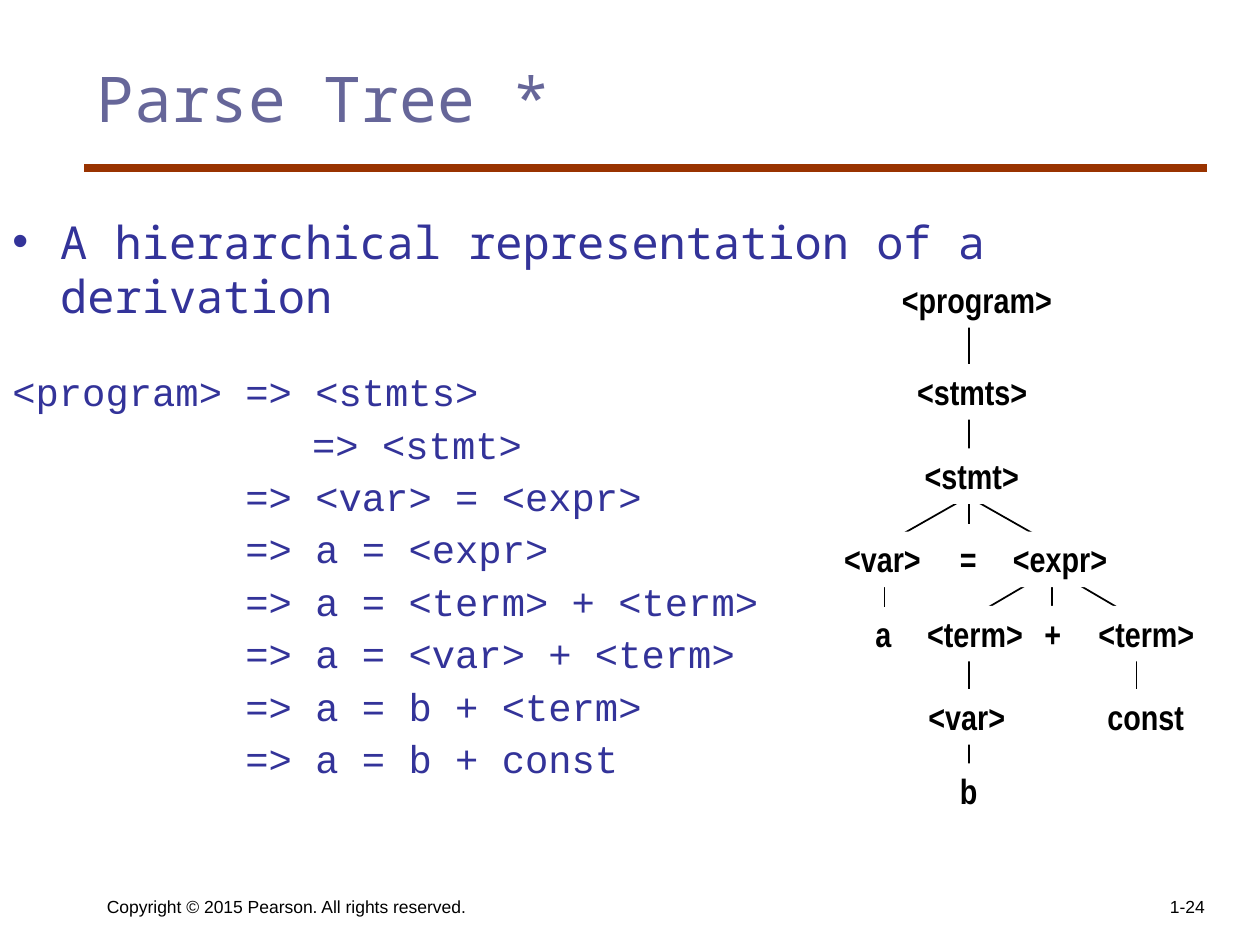
from lxml import etree
from pptx import Presentation
from pptx.dml.color import RGBColor
from pptx.enum.shapes import MSO_CONNECTOR, MSO_SHAPE
from pptx.enum.text import MSO_ANCHOR, MSO_AUTO_SIZE, PP_ALIGN
from pptx.oxml.ns import qn
from pptx.util import Inches, Pt

STRAIGHT = MSO_CONNECTOR.STRAIGHT
RECTANGLE = MSO_SHAPE.RECTANGLE
TOP, BOTTOM = MSO_ANCHOR.TOP, MSO_ANCHOR.BOTTOM
LEFT, RIGHT = PP_ALIGN.LEFT, PP_ALIGN.RIGHT
GROW = MSO_AUTO_SIZE.SHAPE_TO_FIT_TEXT

BLACK = RGBColor(0x00, 0x00, 0x00)
WHITE = RGBColor(0xFF, 0xFF, 0xFF)
RUST = RGBColor(0x99, 0x33, 0x00)
SLATE = RGBColor(0x66, 0x66, 0x99)
INDIGO = RGBColor(0x33, 0x33, 0x99)

TITLE_FONT = {"name": "Noto Sans Mono", "size": Pt(36)}
BULLET_FONT = {"name": "Noto Sans Mono", "size": Pt(25.9)}
CODE_FONT = {"name": "Courier New", "size": Pt(22.2)}
FOOTER_FONT = {"name": "Arial", "size": Pt(10)}
NODE_FONT = {"name": "Arial Narrow", "size": Pt(20), "bold": True}

HANGING = 0.38
STEP_INDENT = 1.85
STMT_INDENT = 2.38
DERIVATION = [
    ("<program> => <stmts>", 0),
    ("=> <stmt>", STMT_INDENT),
    ("=> <var> = <expr>", STEP_INDENT),
    ("=> a = <expr>", STEP_INDENT),
    ("=> a = <term> + <term>", STEP_INDENT),
    ("=> a = <var> + <term>", STEP_INDENT),
    ("=> a = b + <term>", STEP_INDENT),
    ("=> a = b + const", STEP_INDENT),
]

NODE_HEIGHT = 0.44
TREE_ROWS = [
    (2.16, [("<program>", 7.06, 1.4)]),
    (2.89, [("<stmts>", 7.18, 1.1)]),
    (3.56, [("<stmt>", 7.24, 0.96)]),
    (4.22, [("<var>", 6.6, 0.82), ("=", 7.52, 0.34), ("<expr>", 7.94, 0.96)]),
    (4.81, [("a", 6.85, 0.33), ("<term>", 7.26, 0.97),
            ("+", 8.19, 0.34), ("<term>", 8.62, 0.97)]),
    (5.47, [("<var>", 7.27, 0.82), ("const", 8.69, 0.82)]),
    (6.06, [("b", 7.52, 0.35)]),
]
UNFILLED = ("a", "=")

VAR_X, MIDDLE_X, EXPR_X, TERM_X = 7.02, 7.69, 8.35, 9.02
BRANCHES = [
    (MIDDLE_X, 2.41, MIDDLE_X, 4.16),
    (MIDDLE_X, 4.99, MIDDLE_X, 6.32),
    (TERM_X, 4.99, TERM_X, 5.74),
    (VAR_X, 4.32, VAR_X, 4.82),
    (EXPR_X, 4.32, EXPR_X, 4.91),
    (7.6, 3.99, VAR_X, 4.32),
    (7.77, 3.99, EXPR_X, 4.32),
    (8.27, 4.57, MIDDLE_X, 4.91),
    (8.44, 4.57, TERM_X, 4.91),
]


def set_format(target, values):
    for name, value in values.items():
        setattr(target, name, value)


def style_text(para, font, color):
    set_format(para.font, font)
    para.font.color.rgb = color


def add_line(page, start_x, start_y, end_x, end_y, color, width):
    ends = [Inches(value) for value in (start_x, start_y, end_x, end_y)]
    line = page.shapes.add_connector(STRAIGHT, *ends)
    line.line.color.rgb = color
    line.line.width = Pt(width)
    etree.SubElement(line._element.spPr, qn("a:effectLst"))


def add_text(page, place, text, font, color, anchor=TOP, align=LEFT):
    box = page.shapes.add_textbox(*map(Inches, place))
    set_format(box.text_frame, {"word_wrap": True, "vertical_anchor": anchor})
    para = box.text_frame.paragraphs[0]
    para.text = text
    para.alignment = align
    style_text(para, font, color)


def set_indent(para, margin, first=0):
    properties = para._p.get_or_add_pPr()
    properties.set("marL", str(Inches(margin)))
    properties.set("indent", str(Inches(first)))
    return properties


def add_bullet(para):
    properties = set_indent(para, HANGING, -HANGING)
    etree.SubElement(properties, qn("a:buFont")).set("typeface", "Arial")
    etree.SubElement(properties, qn("a:buChar")).set("char", "•")


def add_derivation(page):
    box = page.shapes.add_textbox(*map(Inches, (0, 1.65, 10, 4.84)))
    frame = box.text_frame
    frame.word_wrap = True
    lead = frame.paragraphs[0]
    lead.text = "A hierarchical representation of a derivation"
    add_bullet(lead)
    style_text(lead, BULLET_FONT, INDIGO)
    for index, (text, margin) in enumerate(DERIVATION):
        para = frame.add_paragraph()
        para.text = text
        set_indent(para, margin)
        set_format(para, {"line_spacing": 0.9,
                          "space_before": Pt(6 if index else 28.6)})
        style_text(para, CODE_FONT, INDIGO)


def add_node(page, text, left, top, width):
    place = map(Inches, (left, top, width, NODE_HEIGHT))
    node = page.shapes.add_shape(RECTANGLE, *place)
    node.shadow.inherit = False
    node.line.fill.background()
    if text in UNFILLED:
        node.fill.background()
    else:
        node.fill.solid()
        node.fill.fore_color.rgb = WHITE
    set_format(node.text_frame, {"word_wrap": False, "auto_size": GROW,
                                 "vertical_anchor": TOP})
    para = node.text_frame.paragraphs[0]
    para.text = text
    para.alignment = LEFT
    style_text(para, NODE_FONT, BLACK)


def add_tree(page):
    for branch in BRANCHES:
        add_line(page, *branch, BLACK, 1)
    for top, nodes in TREE_ROWS:
        for text, left, width in nodes:
            add_node(page, text, left, top, width)


def main():
    deck = Presentation()
    deck.slide_width, deck.slide_height = Inches(10), Inches(7.5)
    page = deck.slides.add_slide(deck.slide_layouts[6])
    add_line(page, 0.67, 1.33, 9.58, 1.33, RUST, 4.5)
    add_text(page, (0.75, 6.83, 4.58, 0.5),
             "Copyright © 2015 Pearson. All rights reserved.",
             FOOTER_FONT, BLACK, BOTTOM)
    add_text(page, (7.58, 6.83, 2.08, 0.5), "1-24",
             FOOTER_FONT, BLACK, BOTTOM, RIGHT)
    add_text(page, (0.67, 0.42, 8.92, 1.25), "Parse Tree *", TITLE_FONT, SLATE)
    add_derivation(page)
    add_tree(page)
    deck.save("out.pptx")


if __name__ == "__main__":
    main()
